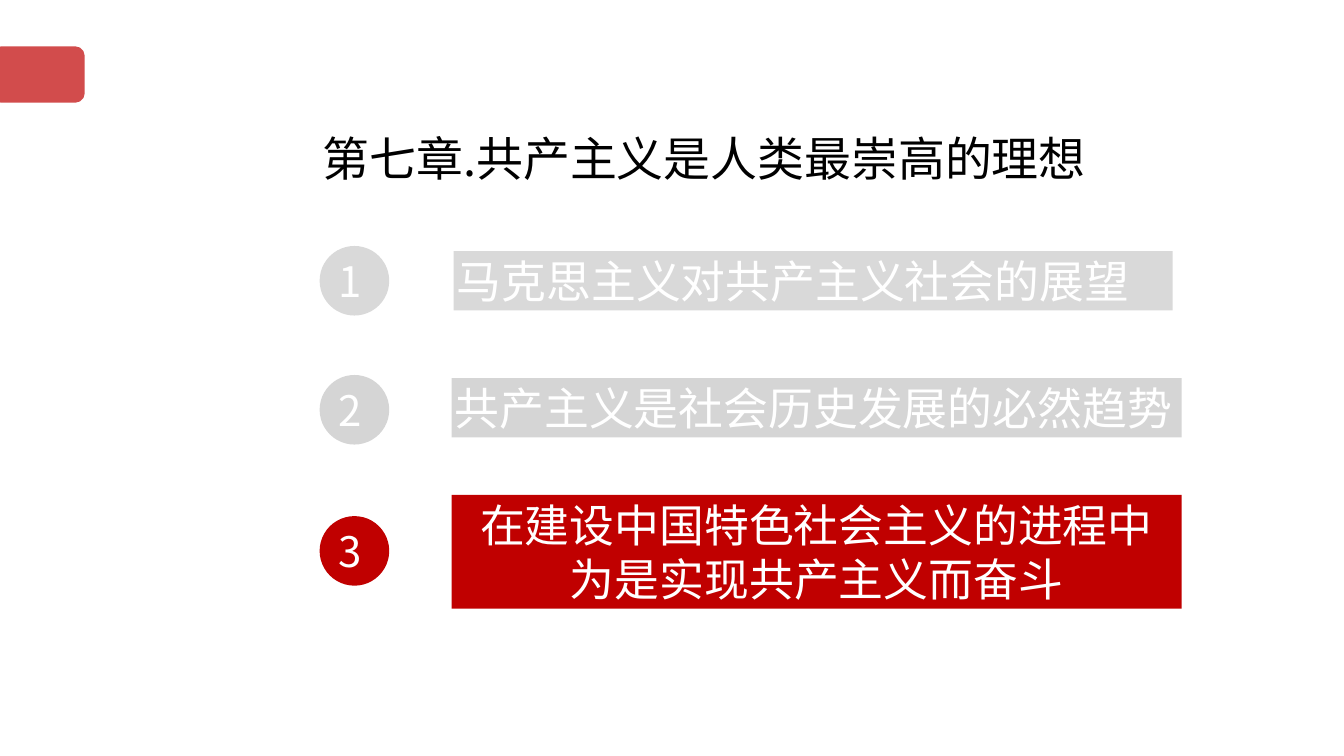
from lxml.etree import SubElement
from pptx import Presentation
from pptx.dml.color import RGBColor
from pptx.enum.shapes import MSO_SHAPE
from pptx.enum.text import MSO_ANCHOR, PP_ALIGN
from pptx.oxml.ns import qn
from pptx.util import Inches, Pt

FONT = "Noto Sans CJK SC"
RED = "C00000"
WHITE = "FFFFFF"
CIRCLE_SIZE = 0.69
LEFT = 3.17

# circle top, bar (left, top, width, height), colour, alignment, lines
SECTIONS = [
    (2.44, (4.5, 2.49, 7.13, 0.59), "D9D9D9", PP_ALIGN.LEFT,
     ["马克思主义对共产主义社会的展望"]),
    (3.72, (4.48, 3.75, 7.24, 0.59), "D5D5D5", PP_ALIGN.LEFT,
     ["共产主义是社会历史发展的必然趋势"]),
    (5.12, (4.48, 4.91, 7.24, 1.13), RED, PP_ALIGN.CENTER,
     ["在建设中国特色社会主义的进程中", "为是实现共产主义而奋斗"]),
]


def colour(value):
    return RGBColor.from_string(value)


def add_block(page, preset, place, fill):
    block = page.shapes.add_shape(preset, *map(Inches, place))
    block.shadow.inherit = False
    block.fill.solid()
    block.fill.fore_color.rgb = colour(fill)
    block.line.fill.background()
    return block


def write(box, lines, size, text_colour, align=PP_ALIGN.LEFT,
          margins=(0.03, 0.03, 0.03, 0.03), spacing=None):
    """Fill a box with paragraphs; margins are left, top, right, bottom."""
    frame = box.text_frame
    frame.word_wrap = True
    frame.vertical_anchor = MSO_ANCHOR.MIDDLE
    (frame.margin_left, frame.margin_top,
     frame.margin_right, frame.margin_bottom) = map(Inches, margins)
    frame.text = "\n".join(lines)
    for paragraph in frame.paragraphs:
        paragraph.alignment = align
        paragraph.line_spacing = spacing
        font = paragraph.font
        font.size = Pt(size)
        font.name = FONT
        font.color.rgb = colour(text_colour)
        properties = paragraph._p.pPr.find(qn("a:defRPr"))
        SubElement(properties, qn("a:ea"), typeface=FONT)


def add_tab(page):
    """Add the translucent red tab on the left edge."""
    tab = add_block(page, MSO_SHAPE.ROUNDED_RECTANGLE,
                    (-0.08, 0.46, 0.92, 0.56), RED)
    shade = tab._element.spPr.find(qn("a:solidFill"))[0]
    SubElement(shade, qn("a:alpha"), val="70000")


def add_title(page, text):
    box = page.shapes.add_textbox(*map(Inches, (LEFT, 0.98, 7.69, 0.9)))
    write(box, [text], 33.5, "000000", spacing=1.5)


def add_section(page, number, circle_top, bar_place, fill, align, lines):
    circle = add_block(page, MSO_SHAPE.OVAL,
                       (LEFT, circle_top, CIRCLE_SIZE, CIRCLE_SIZE), fill)
    write(circle, [str(number)], 30, WHITE, margins=(0.09, 0, 0, 0))
    bar = add_block(page, MSO_SHAPE.RECTANGLE, bar_place, fill)
    write(bar, lines, 32, WHITE, align)


def main():
    deck = Presentation()
    deck.slide_width = Inches(13.33)
    deck.slide_height = Inches(7.5)
    page = deck.slides.add_slide(deck.slide_layouts[6])
    add_tab(page)
    add_title(page, "第七章.共产主义是人类最崇高的理想")
    for number, section in enumerate(SECTIONS, start=1):
        add_section(page, number, *section)
    deck.save("out.pptx")


if __name__ == "__main__":
    main()
